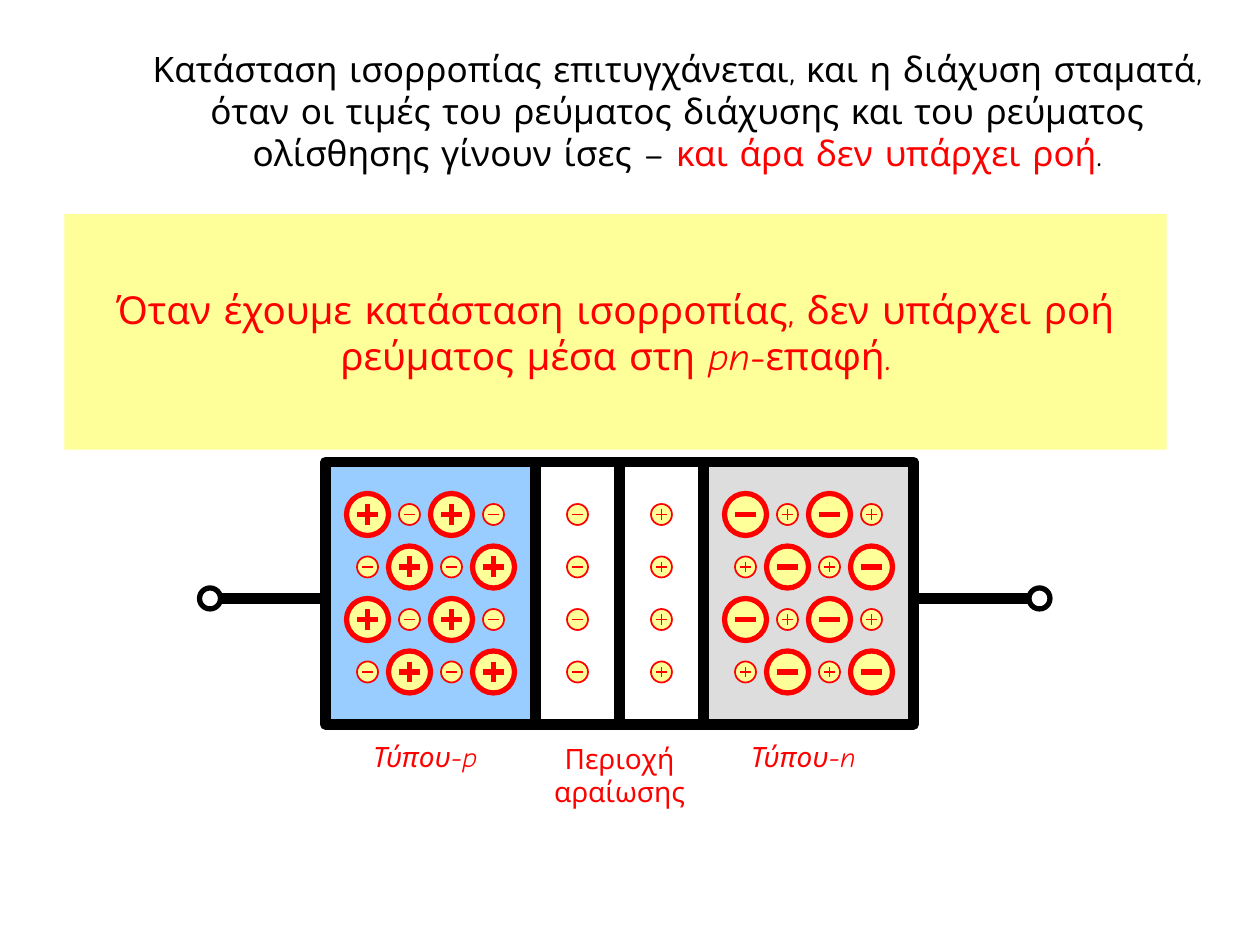
from pptx import Presentation
from pptx.dml.color import RGBColor
from pptx.enum.shapes import MSO_CONNECTOR, MSO_SHAPE
from pptx.enum.text import MSO_ANCHOR, PP_ALIGN
from pptx.oxml.ns import qn
from pptx.util import Pt
from lxml.etree import SubElement

FONT = "Comic Neue"
RED, BLACK, WHITE, CREAM = "FF0000", "000000", "FFFFFF", "FFFF99"
color = RGBColor.from_string


def draw(home, kind, box, edge, width, fill=None):
    """Add a line (box = x1, y1, x2, y2) or a shape (box = x, y, w, h)."""
    box = [Pt(v) for v in box]
    if kind == "line":
        item = home.add_connector(MSO_CONNECTOR.STRAIGHT, *box)
        SubElement(item._element.spPr, qn("a:effectLst"))
    else:
        item = home.add_shape(kind, *box)
        item.shadow.inherit = False
        item.fill.solid()
        item.fill.fore_color.rgb = color(fill)
    item.line.color.rgb = color(edge)
    item.line.width = Pt(width)
    return item


def write(box, anchor, size, parts):
    """Add a centred text box; parts are (text, colour, italic)."""
    item = shapes.add_textbox(*[Pt(v) for v in box])
    frame = item.text_frame
    frame.word_wrap = True
    frame.vertical_anchor = anchor
    par = frame.paragraphs[0]
    par.alignment = PP_ALIGN.CENTER
    for text, tint, slant in parts:
        run = par.add_run()
        run.text = text
        run.font.name = FONT
        run.font.size = Pt(size)
        run.font.italic = slant
        run.font.color.rgb = color(tint)
    return item


deck = Presentation()
deck.slide_width, deck.slide_height = Pt(720), Pt(540)
shapes = deck.slides.add_slide(deck.slide_layouts[6]).shapes

# Title
write((72, 12, 630, 102), MSO_ANCHOR.MIDDLE, 20, [
    ("Κατάσταση ισορροπίας επιτυγχάνεται, και η διάχυση σταματά, όταν οι "
     "τιμές του ρεύματος διάχυσης και του ρεύματος ολίσθησης γίνουν ίσες – ",
     BLACK, False),
    ("και άρα δεν υπάρχει ροή", RED, False),
    (".", BLACK, False)])

# Lead wire and its two terminals
draw(shapes, "line", (120, 342, 594, 342), BLACK, 6)
for left in (114, 588):
    draw(shapes, MSO_SHAPE.OVAL, (left, 336, 12, 12), BLACK, 3, WHITE)

# p and n regions, then the depletion region on both sides of the junction
for left, wide, fill in ((186, 168, "99CCFF"), (354, 168, "DDDDDD"),
                         (306, 48, WHITE), (354, 48, WHITE)):
    draw(shapes, MSO_SHAPE.RECTANGLE, (left, 264, wide, 150), BLACK, 6, fill)

# Charges as (x, y, large, plus): alternating grids and depletion columns
ions = []
for row in range(4):
    y = 294 + 30 * row
    for col in range(4):
        large = (row + col) % 2 == 0
        ions.append((210 + 24 * col, y, large, large))
        ions.append((426 + 24 * col, y, large, not large))
    ions += [(330, y, False, False), (378, y, False, True)]

for x, y, large, plus in ions:
    rad, width = (12, 3) if large else (6, 1)
    arm = rad / 2
    group = shapes.add_group_shape().shapes
    draw(group, MSO_SHAPE.OVAL, (x - rad, y - rad, 2 * rad, 2 * rad),
         RED, width, CREAM)
    draw(group, "line", (x - arm, y, x + arm, y), RED, width)
    if plus:
        draw(group, "line", (x, y - arm, x, y + arm), RED, width)

# Region labels
for box, text, slant in (((186, 419, 114, 26.6), "Τύπου-p", True),
                         ((402, 419, 114, 26.6), "Τύπου-n", True),
                         ((306, 420, 96, 46), "Περιοχή αραίωσης", False)):
    write(box, MSO_ANCHOR.TOP, 16, [(text, RED, slant)])

# Conclusion panel
panel = write((36.75, 122.4, 630, 134.6), MSO_ANCHOR.MIDDLE, 22, [
    ("Όταν έχουμε κατάσταση ισορροπίας, δεν υπάρχει ροή ρεύματος μέσα στη ",
     RED, False),
    ("pn", RED, True),
    ("-επαφή.", RED, False)])
panel.fill.solid()
panel.fill.fore_color.rgb = color(CREAM)

deck.save("out.pptx")
